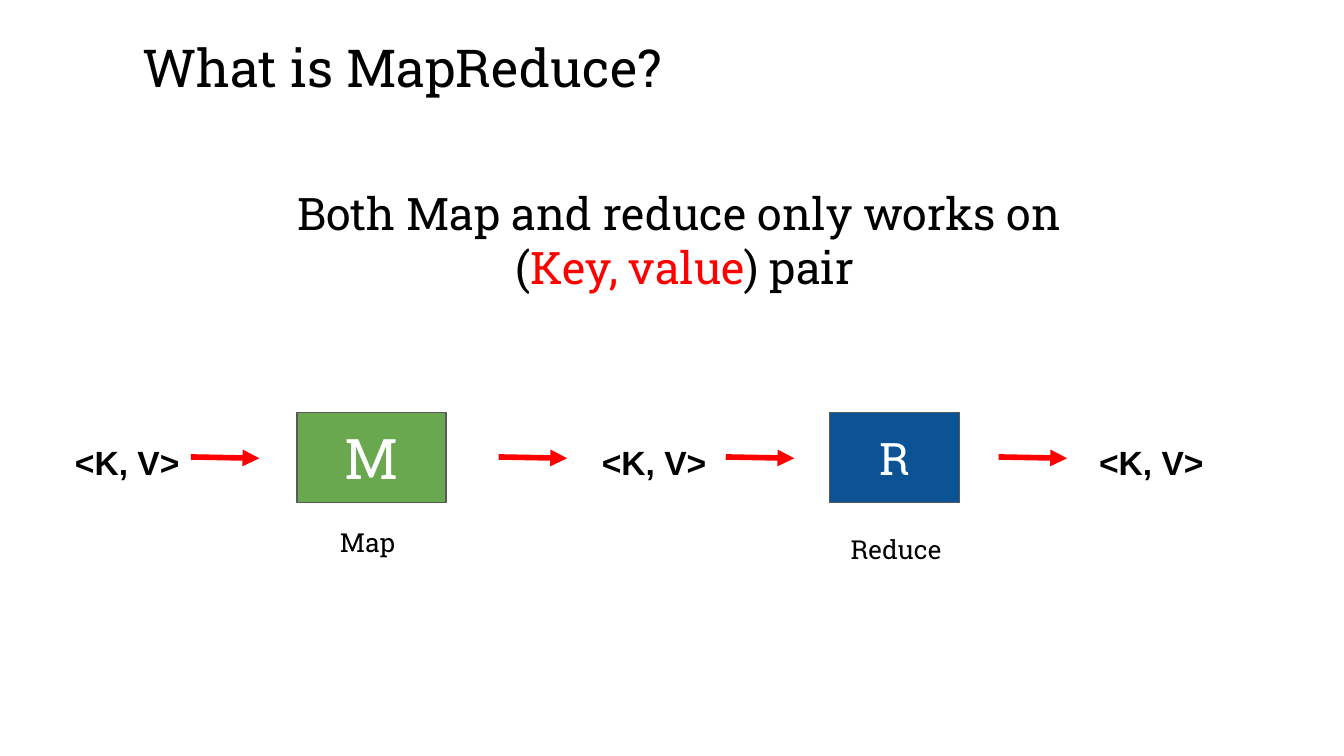
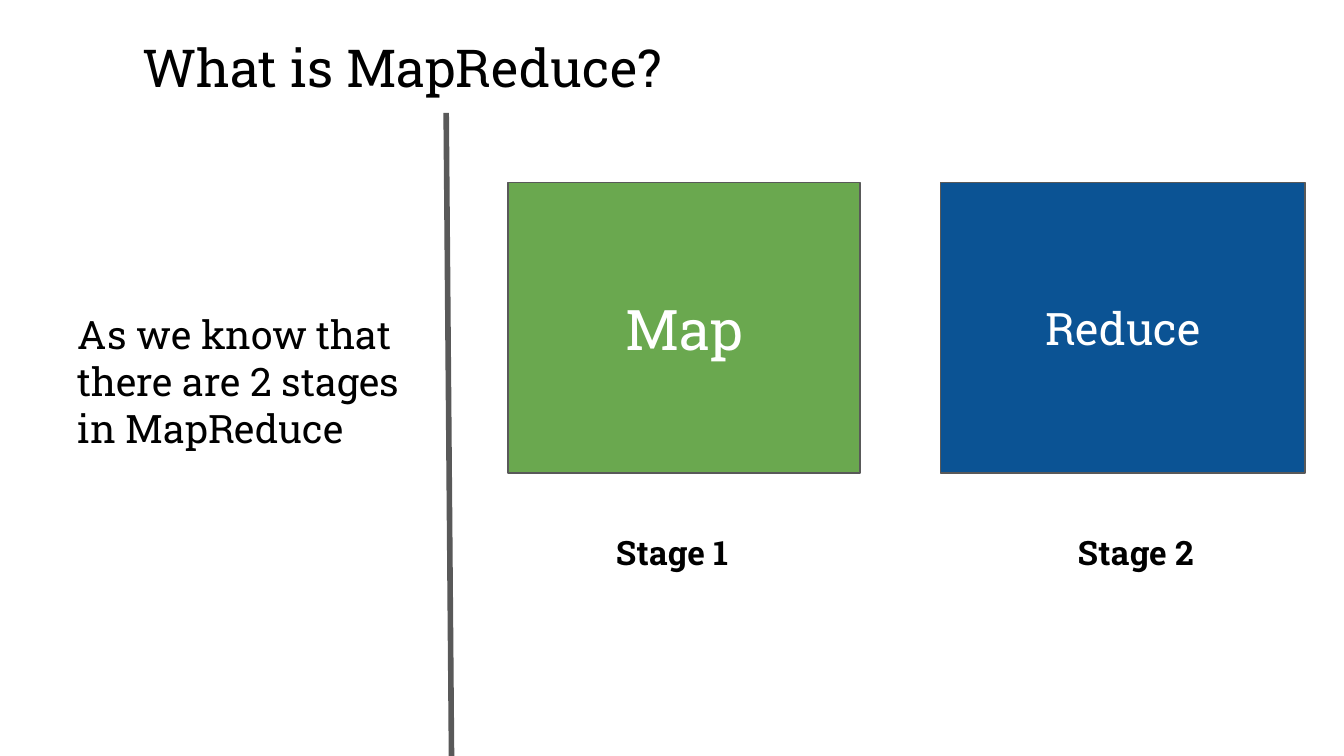
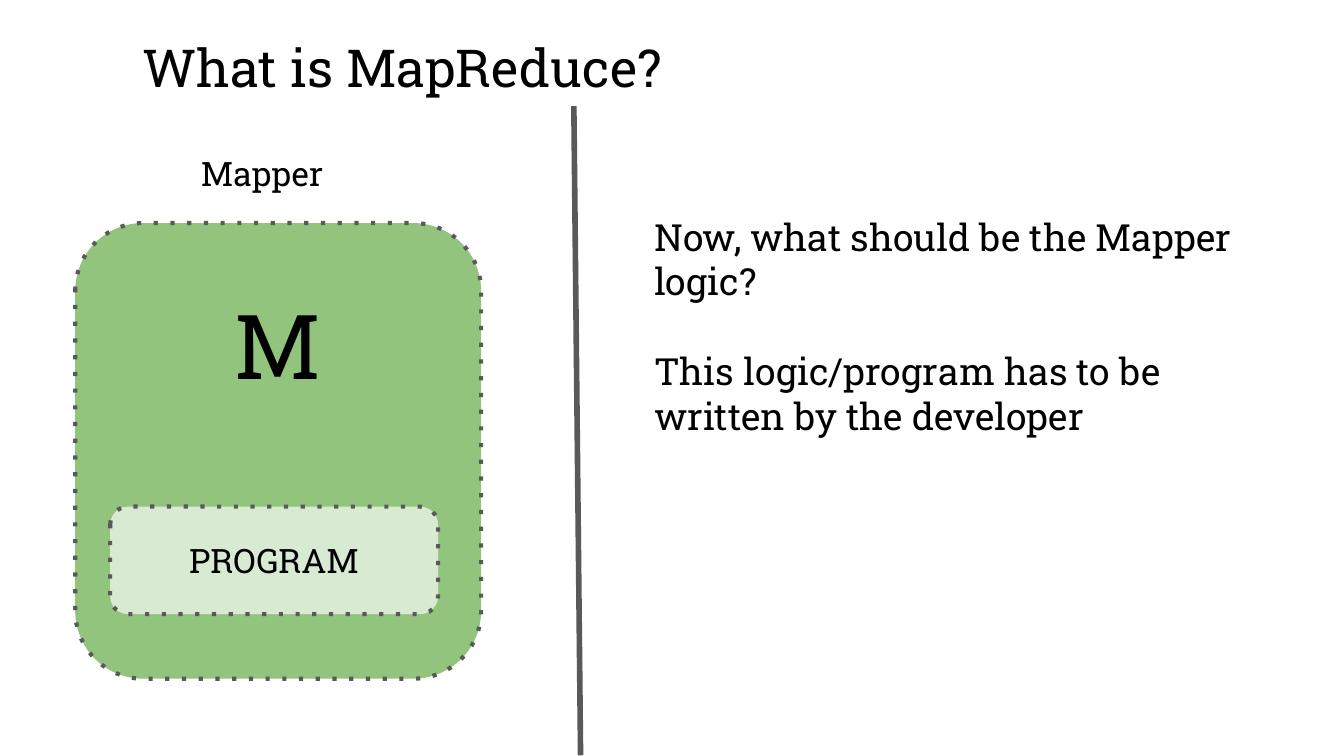
from lxml.etree import SubElement
from pptx import Presentation
from pptx.dml.color import RGBColor
from pptx.enum.shapes import MSO_CONNECTOR as Connector, MSO_SHAPE as Shape
from pptx.enum.text import MSO_ANCHOR as Anchor, MSO_AUTO_SIZE as AutoSize, PP_ALIGN as Align
from pptx.oxml.ns import qn
from pptx.util import Inches, Pt

rgb = RGBColor.from_string
BLACK, WHITE, RED, GREY = "000000", "FFFFFF", "FF0000", "595959"
GREEN, BLUE, LIGHT_GREEN, PALE_GREEN = "6AA84F", "0B5394", "93C47D", "D9EAD3"
SERIF = "Roboto Slab"
MARGINS = ("margin_left", "margin_top", "margin_right", "margin_bottom")


def add_text(slide, at, text, size, align=Align.LEFT, color=BLACK, name=SERIF,
             bold=False, preset=None, fill=None, dotted=False):
    place = [Inches(value) for value in at]
    if preset:
        block = slide.shapes.add_shape(preset, *place)
        block.shadow.inherit = False
        block.fill.solid()
        block.fill.fore_color.rgb = rgb(fill)
        block.line.color.rgb = rgb(GREY)
        block.line.width = Pt(2.25 if dotted else 0.75)
        if dotted:
            SubElement(block.line._get_or_add_ln(), qn("a:prstDash"), val="dot")
    else:
        block = slide.shapes.add_textbox(*place)
    frame = block.text_frame
    layout = {
        "word_wrap": True,
        "auto_size": AutoSize.NONE if preset else AutoSize.SHAPE_TO_FIT_TEXT,
        "vertical_anchor": Anchor.MIDDLE if preset else Anchor.TOP,
        **dict.fromkeys(MARGINS, Inches(0.1)),
    }
    for key, value in layout.items():
        setattr(frame, key, value)
    for row, line in enumerate(text.split("\n")):
        paragraph = frame.add_paragraph() if row else frame.paragraphs[0]
        paragraph.alignment = align
        for part, words in enumerate(line.split("|")):
            run = paragraph.add_run()
            run.text = words
            for key, value in {"name": name, "size": Pt(size), "bold": bold}.items():
                setattr(run.font, key, value)
            run.font.color.rgb = rgb(RED if part % 2 else color)
    return frame


def add_line(slide, start, end, color, arrow=False):
    line = slide.shapes.add_connector(
        Connector.STRAIGHT, *[Inches(value) for value in (*start, *end)])
    line.line.color.rgb = rgb(color)
    line.line.width = Pt(3)
    if arrow:
        SubElement(line.line._get_or_add_ln(), qn("a:tailEnd"), type="triangle")
    SubElement(line._element.spPr, qn("a:effectLst"))


deck = Presentation()
deck.slide_width = Inches(10)
deck.slide_height = deck.slide_width * 9 // 16
pairs, stages, mapper = [deck.slides.add_slide(deck.slide_layouts[6]) for _ in range(3)]
for slide in (pairs, stages, mapper):
    add_text(slide, (0.96, 0.16, 4.62, 0.67), "What is MapReduce?", 28)

add_text(pairs, (1.22, 1.28, 7.75, 1.01),
         "Both Map and reduce only works on \n(|Key, value|) pair", 24, Align.CENTER)
flow = add_text(pairs, (0.46, 3.19, 9.26, 0.5), "<K, V>\t<K, V>\t<K, V>", 18,
                name="Arial", bold=True)
tabs = SubElement(flow.paragraphs[0]._p.get_or_add_pPr(), qn("a:tabLst"))
for stop in (3.92, 7.62):
    SubElement(tabs, qn("a:tab"), pos=str(Inches(stop)), algn="l")
for left in (1.42, 3.71, 5.4, 7.43):
    add_line(pairs, (left, 3.4), (left + 0.51, 3.41), RED, arrow=True)
for left, width, letter, size, fill in (
    (2.21, 1.11, "M", 30, GREEN),
    (6.17, 0.97, "R", 24, BLUE),
):
    add_text(pairs, (left, 3.07, width, 0.67), letter, size, Align.CENTER, WHITE,
             preset=Shape.RECTANGLE, fill=fill)
add_text(pairs, (2.25, 3.82, 0.97, 0.44), "Map", 14, Align.CENTER)
add_text(pairs, (6.23, 3.87, 0.91, 0.44), "Reduce", 14)

add_text(stages, (0.48, 2.21, 2.71, 1.26),
         "As we know that there are 2 stages in MapReduce", 21)
add_line(stages, (3.32, 0.84), (3.36, 5.67), GREY)
for left, width, stage, size, fill, caption_left, caption in (
    (3.78, 2.62, "Map", 30, GREEN, 4.09, "Stage 1"),
    (7, 2.71, "Reduce", 24, BLUE, 7.54, "Stage 2"),
):
    add_text(stages, (caption_left, 3.86, 1.82, 0.5), caption, 18, Align.CENTER, bold=True)
    add_text(stages, (left, 1.36, width, 2.16), stage, size, Align.CENTER, WHITE,
             preset=Shape.RECTANGLE, fill=fill)

add_line(mapper, (4.27, 0.79), (4.32, 5.62), GREY)
logic = add_text(mapper, (4.77, 1.49, 4.54, 1.89),
                 "Now, what should be the Mapper logic?\n"
                 "This logic/program has to be written by the developer", 20)
logic.paragraphs[1].space_before = Pt(24)
letter = add_text(mapper, (0.56, 1.66, 3.02, 3.39), "M", 48, Align.CENTER,
                  preset=Shape.ROUNDED_RECTANGLE, fill=LIGHT_GREEN, dotted=True)
letter.margin_bottom = Inches(1.7)
add_text(mapper, (0.82, 3.77, 2.44, 0.8), "PROGRAM", 18, Align.CENTER,
         preset=Shape.ROUNDED_RECTANGLE, fill=PALE_GREEN, dotted=True)
add_text(mapper, (0.87, 1.04, 2.16, 0.5), "Mapper", 18, Align.CENTER)

deck.save("out.pptx")
